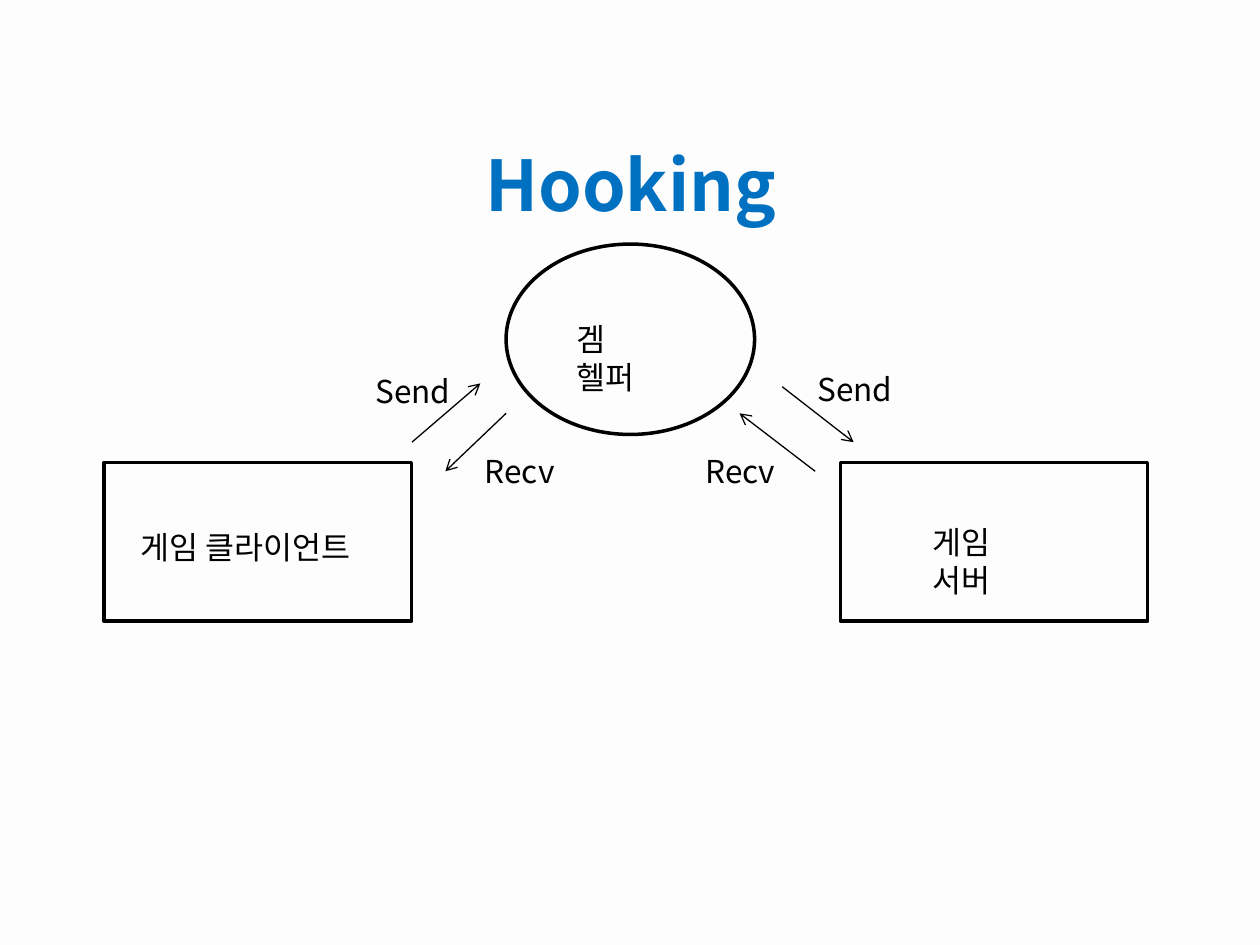
"""Build the Hooking slide: a helper sitting between a game client and its server."""
from collections import namedtuple

from lxml import etree
from pptx import Presentation
from pptx import util as u
from pptx.dml.color import RGBColor
from pptx.enum import shapes, text
from pptx.oxml.ns import qn

Theme = namedtuple("Theme", "font paper ink accent title_size label_size outline arrow")
THEME = Theme("Noto Sans CJK KR", "FDFDFD", "000000", "0070C0", 40, 18, 2, 0.75)

SLIDE = (720, 540)
TITLE = ("Hooking", (147.6, 77, 425.5, 55.4))
RECT = shapes.MSO_SHAPE.RECTANGLE
CIRCLE = shapes.MSO_SHAPE.FLOWCHART_CONNECTOR
NODES = [
    (RECT, (59.5, 264.2, 175.7, 90.7)),
    (RECT, (480.2, 264.2, 175.7, 90.7)),
    (CIRCLE, (289.2, 139.5, 142, 108.8)),
]
NODE_NAMES = [
    ("게임 클라이언트", 73.4, 298, 135.4),
    ("게임 서버", 525.6, 295.2, 85),
    ("겜 헬퍼", 322.6, 179.3, 68.4),
]
MESSAGES = [
    ("Send", 207.4, 208.8, 57.6),
    ("Recv", 270, 254.9, 54.7),
    ("Send", 460.1, 208.1, 57.6),
    ("Recv", 396, 254.9, 54.7),
]
ARROWS = [
    (235.4, 252.7, 274.5, 219.1),
    (289.2, 236.2, 254.5, 269.3),
    (447, 221, 487.8, 252.7),
    (465.8, 269.3, 422.6, 236.2),
]
LABEL_HEIGHT = 28.8
STACKED_INSET = 18


def points(values):
    return [u.Pt(value) for value in values]


def color(code):
    return RGBColor.from_string(code)


def write(frame, words, size, code, bold=False):
    para = frame.paragraphs[0]
    span = para.add_run()
    span.text = words
    font = span.font
    font.name, font.size, font.bold = THEME.font, u.Pt(size), bold
    font.color.rgb = color(code)
    latin = font._element.find(qn("a:latin"))
    east_asian = etree.Element(qn("a:ea"), typeface=THEME.font)
    latin.addnext(east_asian)
    return para


def add_title(page):
    words, place = TITLE
    box = page.shapes.title
    box.left, box.top, box.width, box.height = points(place)
    frame = box.text_frame
    frame.auto_size = text.MSO_AUTO_SIZE.NONE
    frame.vertical_anchor = text.MSO_ANCHOR.MIDDLE
    para = write(frame, words, THEME.title_size, THEME.accent, True)
    para.alignment = text.PP_ALIGN.CENTER


def add_node(page, kind, place):
    node = page.shapes.add_shape(kind, *points(place))
    node.shadow.inherit = False
    node.fill.background()
    node.line.color.rgb = color(THEME.ink)
    node.line.width = u.Pt(THEME.outline)


def add_label(page, words, left, top, width, stacked=False):
    box = page.shapes.add_textbox(*points((left, top, width, LABEL_HEIGHT)))
    frame = box.text_frame
    frame.word_wrap = stacked
    if stacked:
        frame.margin_right = u.Pt(STACKED_INSET)
    para = write(frame, words, THEME.label_size, THEME.ink)
    para.alignment = text.PP_ALIGN.LEFT


def add_arrow(page, ends):
    arrow = page.shapes.add_connector(shapes.MSO_CONNECTOR.STRAIGHT, *points(ends))
    arrow.line.color.rgb = color(THEME.ink)
    arrow.line.width = u.Pt(THEME.arrow)
    etree.SubElement(arrow.line._get_or_add_ln(), qn("a:tailEnd"), type="arrow")
    etree.SubElement(arrow._element.spPr, qn("a:effectLst"))


def main():
    deck = Presentation()
    deck.slide_width, deck.slide_height = points(SLIDE)
    page = deck.slides.add_slide(deck.slide_layouts.get_by_name("Title Only"))
    fill = page.background.fill
    fill.solid()
    fill.fore_color.rgb = color(THEME.paper)
    add_title(page)
    for kind, place in NODES:
        add_node(page, kind, place)
    for name in NODE_NAMES:
        add_label(page, *name, stacked=name != NODE_NAMES[0])
    for ends in ARROWS:
        add_arrow(page, ends)
    for message in MESSAGES:
        add_label(page, *message)
    deck.save("out.pptx")


if __name__ == "__main__":
    main()
